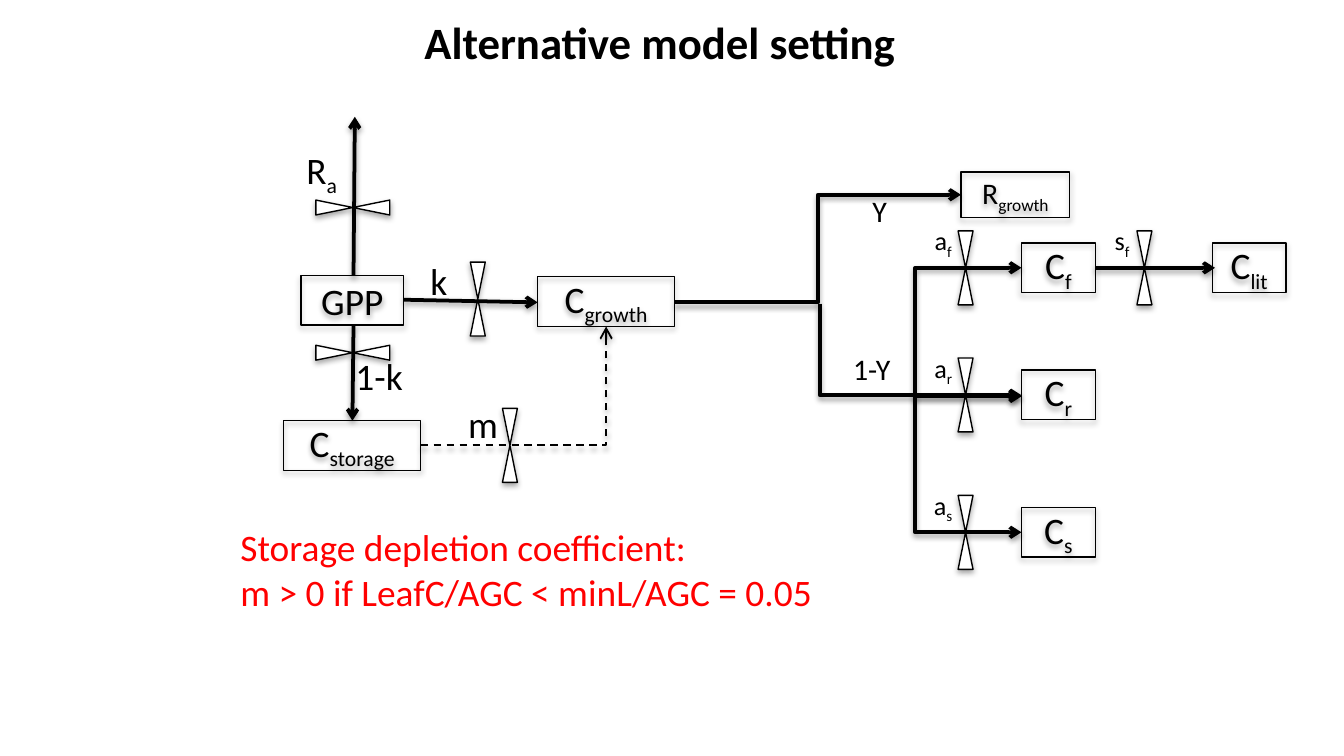
from dataclasses import dataclass
from typing import Any

from pptx import Presentation
from pptx.dml.color import RGBColor
from pptx.enum.dml import MSO_LINE
from pptx.enum.shapes import MSO_CONNECTOR, MSO_SHAPE
from pptx.enum.text import MSO_ANCHOR, MSO_AUTO_SIZE, PP_ALIGN
from pptx.oxml import parse_xml
from pptx.oxml.ns import nsdecls, qn
from pptx.util import Pt


@dataclass(frozen=True)
class Theme:
    """Colours, font, type sizes and line widths."""
    ink: RGBColor = RGBColor(0, 0, 0)
    paper: RGBColor = RGBColor(255, 255, 255)
    accent: RGBColor = RGBColor(255, 0, 0)
    font: str = "Calibri"
    title: int = 24
    body: int = 20
    small: int = 16
    tiny: int = 14
    outline: float = 0.75
    flow: float = 2
    dashed: float = 1


T = Theme()
POOL_H = 26.6


def add_run(p, text, size, color=T.ink, bold=False, sub=False):
    """Add one styled run, lowered when it is a subscript."""
    r = p.add_run()
    r.text = text
    r.font.name, r.font.size, r.font.bold = T.font, Pt(size), bold
    r.font.color.rgb = color
    if sub:
        r.font._element.set("baseline", "-25000")


def write_symbol(sp, symbol, size):
    """Centre a symbol written as 'base_subscript' in a shape."""
    tf = sp.text_frame
    tf.word_wrap = True
    tf.vertical_anchor = MSO_ANCHOR.MIDDLE
    p = tf.paragraphs[0]
    p.alignment = PP_ALIGN.CENTER
    base, _, sub = symbol.partition("_")
    add_run(p, base, size)
    if sub:
        add_run(p, sub, size, sub=True)


def cast_shadow(sp, opacity):
    """Give a shape or connector a soft shadow below it."""
    sp.element.spPr.append(parse_xml(
        f'<a:effectLst {nsdecls("a")}><a:outerShdw blurRad="{Pt(3.1)}" '
        f'dist="{Pt(1.7)}" dir="5400000" rotWithShape="0"><a:srgbClr val="{T.ink}">'
        f'<a:alpha val="{opacity * 1000}"/></a:srgbClr></a:outerShdw></a:effectLst>'))


@dataclass
class Region:
    """A part of the diagram whose items are placed from its corner."""
    s: Any
    x: float
    y: float

    def frame(self, x, y, w, h):
        """Turn a local box into slide lengths."""
        return Pt(self.x + x), Pt(self.y + y), Pt(w), Pt(h)

    def outlined(self, kind, box):
        """Draw a thin-lined shape with a shadow."""
        sp = self.s.shapes.add_shape(kind, *self.frame(*box))
        sp.fill.background()
        sp.line.color.rgb = T.ink
        sp.line.width = Pt(T.outline)
        cast_shadow(sp, 35)
        return sp

    def pool(self, symbol, x, y, w, h=POOL_H, size=T.body):
        """Draw a carbon pool."""
        write_symbol(self.outlined(MSO_SHAPE.RECTANGLE, (x, y, w, h)), symbol, size)

    def label(self, symbol, x, y, w, h=POOL_H, size=T.body):
        """Write a coefficient beside its flow."""
        write_symbol(self.s.shapes.add_textbox(*self.frame(x, y, w, h)), symbol, size)

    def valve(self, cx, cy, rotation=0):
        """Draw a valve around its centre."""
        w, h = 8, 39.6
        sp = self.outlined(MSO_SHAPE.FLOWCHART_COLLATE, (cx - w / 2, cy - h / 2, w, h))
        sp.fill.solid()
        sp.fill.fore_color.rgb = T.paper
        sp.rotation = rotation

    def flow(self, start, end, bend=None, dashed=False):
        """Draw an arrow: straight, bent at a share of its width, or a 'corner'."""
        kind = MSO_CONNECTOR.STRAIGHT if bend is None else MSO_CONNECTOR.ELBOW
        ends = [Pt(o + d) for pt in (start, end) for o, d in zip((self.x, self.y), pt)]
        c = self.s.shapes.add_connector(kind, *ends)
        c.line.color.rgb = T.ink
        c.line.width = Pt(T.dashed if dashed else T.flow)
        if dashed:
            c.line.dash_style = MSO_LINE.DASH
        spPr = c.element.spPr
        spPr.find(qn("a:ln")).append(parse_xml(f'<a:tailEnd {nsdecls("a")} type="arrow"/>'))
        geom = spPr.find(qn("a:prstGeom"))
        if bend == "corner":
            geom.set("prst", "bentConnector2")
        elif bend is not None:
            geom.find(qn("a:avLst")).append(parse_xml(
                f'<a:gd {nsdecls("a")} name="adj1" fmla="val {int(bend * 100000)}"/>'))
        cast_shadow(c, 38)


def add_title(s, x, y, w, h):
    """Write the slide title."""
    tf = s.shapes.add_textbox(Pt(x), Pt(y), Pt(w), Pt(h)).text_frame
    tf.word_wrap = True
    p = tf.paragraphs[0]
    p.alignment = PP_ALIGN.CENTER
    add_run(p, "Alternative model setting", T.title, bold=True)


def add_storage(s, x, y):
    """Draw GPP with its flows to respiration, growth and storage."""
    g = Region(s, x, y)
    g.flow((37.4, 85.6), (38.1, 0.6))
    g.flow((37.4, 112.2), (36.8, 163.4))
    g.flow((64.5, 98.6), (136, 100))
    g.flow((73.4, 176.6), (172.7, 113), bend="corner", dashed=True)
    g.valve(37, 49.2, 90)
    g.valve(37, 127, 90)
    g.valve(104, 98.2)
    g.valve(121.2, 176.6)
    g.pool("GPP", 9.3, 85.6, 55)
    g.pool("C_growth", 136, 86.3, 73.4)
    g.pool("C_storage", 0, 163.4, 73.4)
    g.label("R_a", 4.2, 17.2, 32.4)
    g.label("k", 60.4, 74.8, 45.4)
    g.label("1-k", 30.2, 125.9, 41.8)
    g.label("m", 90.6, 151.8, 32.4)


def add_growth_split(s, x, y):
    """Split growth into growth respiration and new tissue."""
    g = Region(s, x, y)
    g.flow((0.5, 70), (153.8, 12.4), bend=0.5)
    g.flow((78.2, 70.7), (186.2, 119.7), bend=0)
    g.pool("R_growth", 153.8, 0.2, 58.3, 24.5, T.small)
    g.label("Y", 97.6, 8.8, 25.2, 24.5, T.small)
    g.label("1-Y", 87.6, 94.5, 36.7, 22.3, T.small)


def add_allocation(s, x, y):
    """Allocate tissue to three pools, the first of which feeds litter."""
    g = Region(s, x, y)
    stem, pool_x, pool_w, litter_x = 0.3, 57.2, 39.6, 159.4
    rows = {"f": 23.5, "r": 91.6, "s": 165.2}
    trunk = rows["r"]

    def gate(symbol, cx, cy):
        """Place a valve with its coefficient at the upper left."""
        g.valve(cx, cy)
        g.label(symbol, cx - 25.3, cy - 24, 26.6, 20.9, T.tiny)

    for name, cy in rows.items():
        bend = None if cy == trunk else 0
        g.flow((stem, trunk + 0.8), (pool_x, cy if bend == 0 else trunk + 0.8), bend)
        gate(f"a_{name}", 27.3, cy)
        g.pool(f"C_{name}", pool_x, cy - POOL_H / 2, pool_w)
    leaf = rows["f"]
    g.flow((pool_x + pool_w, leaf), (litter_x + 1.5, leaf))
    gate("s_f", 123.1, leaf)
    g.pool("C_lit", litter_x, leaf - POOL_H / 2, pool_w)


def add_note(s, x, y, w, h):
    """Write the rule for the storage depletion coefficient."""
    tf = s.shapes.add_textbox(Pt(x), Pt(y), Pt(w), Pt(h)).text_frame
    tf.word_wrap = False
    tf.auto_size = MSO_AUTO_SIZE.SHAPE_TO_FIT_TEXT
    add_run(tf.paragraphs[0], "Storage depletion coefficient:", T.body, T.accent)
    add_run(tf.add_paragraph(), "m > 0 if LeafC/AGC < minL/AGC = 0.05", T.body, T.accent)


def main():
    """Build and save the slide."""
    prs = Presentation()
    prs.slide_width, prs.slide_height = Pt(720), Pt(405)
    s = prs.slides.add_slide(prs.slide_layouts[6])
    add_title(s, 8.6, 4.3, 689.8, 35.3)
    add_storage(s, 152, 62)
    add_growth_split(s, 361, 92)
    add_allocation(s, 490, 120)
    add_note(s, 121.7, 277.2, 325.4, 55.4)
    prs.save("out.pptx")


if __name__ == "__main__":
    main()
